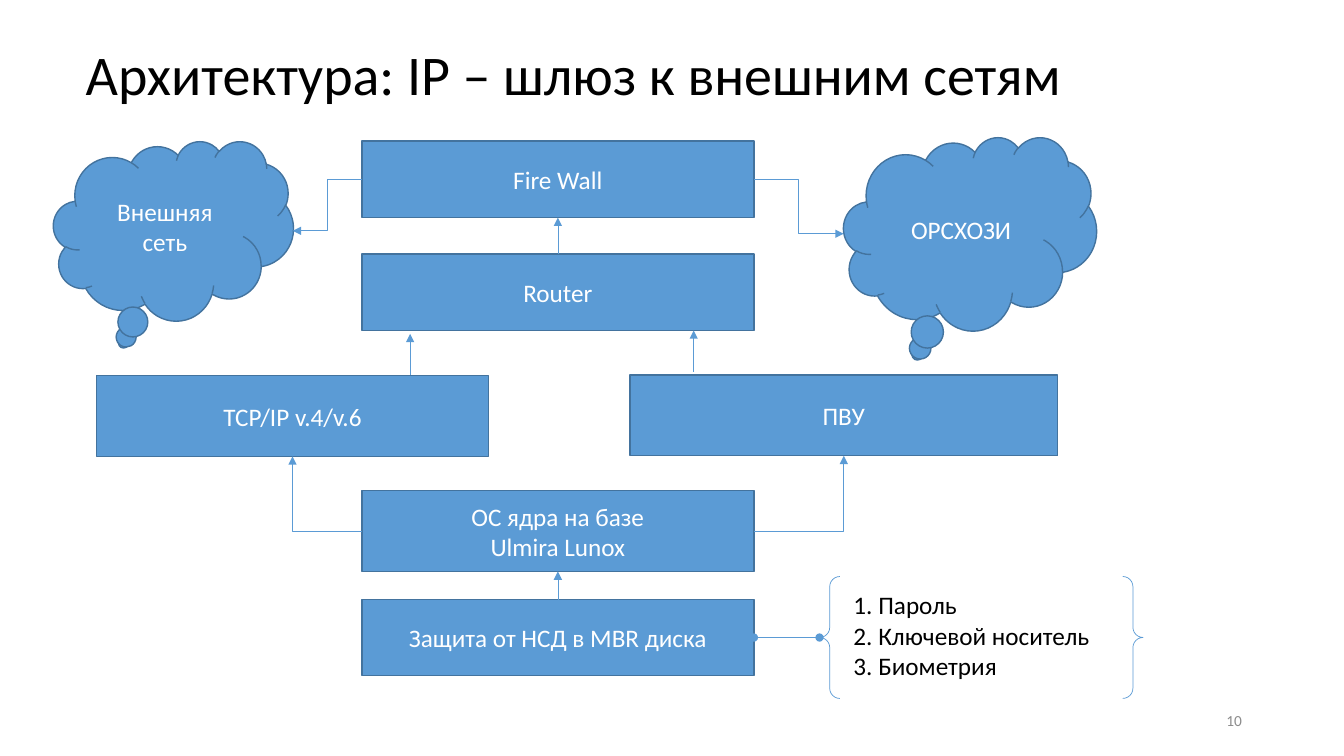
from dataclasses import dataclass

from lxml import etree
from pptx import Presentation
from pptx.dml.color import RGBColor
from pptx.enum.shapes import MSO_CONNECTOR, MSO_SHAPE
from pptx.enum.text import MSO_ANCHOR, PP_ALIGN
from pptx.oxml.ns import qn
from pptx.util import Pt

RECTANGLE = MSO_SHAPE.RECTANGLE
PROCESS = MSO_SHAPE.FLOWCHART_PROCESS
CLOUD = MSO_SHAPE.CLOUD_CALLOUT
BRACES = MSO_SHAPE.DOUBLE_BRACE
STRAIGHT = MSO_CONNECTOR.STRAIGHT
ELBOW = MSO_CONNECTOR.ELBOW
LEFT, CENTER, RIGHT = PP_ALIGN.LEFT, PP_ALIGN.CENTER, PP_ALIGN.RIGHT
MIDDLE, TOP = MSO_ANCHOR.MIDDLE, MSO_ANCHOR.TOP
TOP_SIDE, LEFT_SIDE, BOTTOM_SIDE, RIGHT_SIDE = range(4)


@dataclass(frozen=True)
class Theme:
    font: str = "Calibri"
    title_size: int = 40
    body_size: int = 18
    number_size: int = 11
    text: RGBColor = RGBColor(0, 0, 0)
    box_text: RGBColor = RGBColor(255, 255, 255)
    muted: RGBColor = RGBColor(0x8C, 0x8C, 0x8C)
    accent: RGBColor = RGBColor(0x5B, 0x9B, 0xD5)
    outline: RGBColor = RGBColor(0x43, 0x73, 0x9E)


theme = Theme()


def write(shape, text, size, color, align, anchor=MIDDLE):
    frame = shape.text_frame
    frame.text = text
    frame.vertical_anchor = anchor
    for paragraph in frame.paragraphs:
        paragraph.alignment = align
        for run in paragraph.runs:
            run.font.name = theme.font
            run.font.size = Pt(size)
            run.font.color.rgb = color


def add_link(kind, start, end, head=None, tail="triangle"):
    """Draw a thin accent connector from start to end, given in points."""
    link = slide.shapes.add_connector(kind, *map(Pt, start + end))
    link.line.color.rgb = theme.accent
    link.line.width = Pt(0.5)
    line = link.line._get_or_add_ln()
    for tag, arrowhead in (("a:headEnd", head), ("a:tailEnd", tail)):
        if arrowhead:
            etree.SubElement(line, qn(tag), type=arrowhead)
    etree.SubElement(link._element.spPr, qn("a:effectLst"))
    return link


presentation = Presentation()
presentation.slide_width, presentation.slide_height = Pt(960), Pt(540)
slide = presentation.slides.add_slide(presentation.slide_layouts[5])

title = slide.shapes.title
title.left, title.top, title.width, title.height = map(Pt, (54, 26.6, 809.3, 57.6))
write(title, "Архитектура: IP – шлюз к внешним сетям", theme.title_size, theme.text, LEFT)
title.text_frame.paragraphs[0].line_spacing = 0.9

slide_number = slide.shapes.add_textbox(*map(Pt, (678.2, 500.4, 216, 28.8)))
slide_number.text_frame.word_wrap = True
write(slide_number, "10", theme.number_size, theme.muted, RIGHT)

# Blocks of the gateway: left, top, width, height
column_left, column_width = 258.5, 280
column_right = column_left + column_width
column_center = column_left + column_width / 2
blocks = {}
for name, kind, text, *box in (
    ("protection", RECTANGLE, "Защита от НСД в MBR диска", column_left, 428.4, column_width, 54),
    ("system", RECTANGLE, "ОС ядра на базе\nUlmira Lunox", column_left, 350.6, column_width, 57.6),
    ("tcp_ip", PROCESS, "TCP/IP v.4/v.6", 69, 268.4, column_width, 57.6),
    ("pvu", PROCESS, "ПВУ", 450, 268, 305.4, 57.6),
    ("router", PROCESS, "Router", column_left, 181.4, column_width, 54.6),
    ("firewall", PROCESS, "Fire Wall", column_left, 100.8, column_width, 54.6),
    ("partner", CLOUD, "ОРСХОЗИ", 602.6, 97.9, 180.7, 138.2),
    ("outside", CLOUD, "Внешняя сеть", 38.2, 100.8, 171.4, 128.2),
):
    block = slide.shapes.add_shape(kind, *map(Pt, box))
    block.shadow.inherit = False
    block.fill.solid()
    block.fill.fore_color.rgb = theme.accent
    block.line.color.rgb = theme.outline
    block.line.width = Pt(1)
    write(block, text, theme.body_size, theme.box_text, CENTER)
    blocks[name] = block

braces = slide.shapes.add_shape(BRACES, *map(Pt, (585.4, 411.8, 231.1, 87.1)))
braces.shadow.inherit = False
braces.fill.background()
braces.line.color.rgb = theme.accent
braces.line.width = Pt(0.5)

factors = slide.shapes.add_textbox(*map(Pt, (602.6, 417.6, 206.6, 72.7)))
factors.text_frame.word_wrap = False
write(factors, "1. Пароль\n2. Ключевой носитель\n3. Биометрия",
      theme.body_size, theme.text, LEFT, TOP)

# Straight links
for lower, upper, start_y, end_y in (
    ("protection", "system", 428.4, 408.2),
    ("router", "firewall", 181.4, 155.4),
):
    link = add_link(STRAIGHT, (column_center, start_y), (column_center, end_y))
    link.begin_connect(blocks[lower], TOP_SIDE)
    link.end_connect(blocks[upper], BOTTOM_SIDE)

factors_link = add_link(STRAIGHT, (column_right, 455.4), (585.4, 455.4), "oval", "oval")
factors_link.begin_connect(blocks["protection"], RIGHT_SIDE)

for x, start_y, end_y in ((293, 268, 238.5), (495.5, 265.7, 236)):
    add_link(STRAIGHT, (x, start_y), (x, end_y))

# Elbows from the firewall to the clouds
add_link(ELBOW, (column_left, 128.1), (209.2, 164.9))
add_link(ELBOW, (column_right, 128.1), (602.6, 167))

# Single-bend elbows from the system up to the protocol blocks
for start_x, end_x, end_y in ((column_left, 209, 326), (column_right, 602.7, 325.6)):
    elbow = add_link(ELBOW, (start_x, 379.4), (end_x, end_y))
    elbow._element.spPr.find(qn("a:prstGeom")).set("prst", "bentConnector2")

presentation.save("out.pptx")
